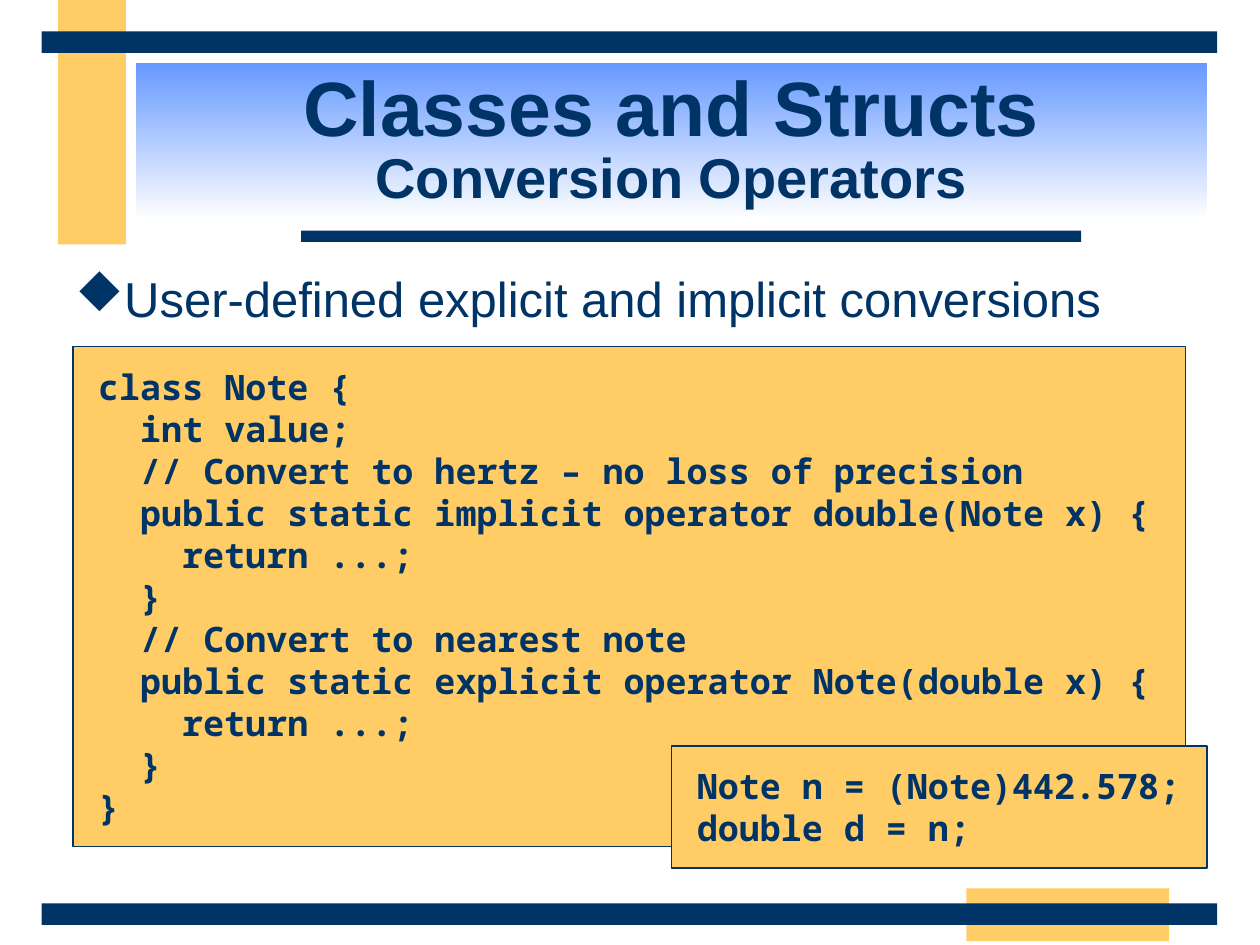
"""Build the slide on user-defined conversion operators."""
import pptx
import pptx.util
import pptx.oxml.ns
import pptx.dml.color
import pptx.enum.shapes
import pptx.enum.text
import lxml.etree

NAVY, GOLD, SKY, WHITE = "003366", "FFCC66", "6699FF", "FFFFFF"
SANS, MONO = "Arial", "Noto Sans Mono"
WIDTH, HEIGHT = 10, 7.5
INDENT_STEP = 24
BULLET_INDENT = 0.36
DIAMOND_FONT, DIAMOND = "Wingdings", "u"

BANDS = [
    (0.46, 0, 0.54, 1.94, GOLD),
    (7.67, 7.05, 1.61, 0.42, GOLD),
    (2.39, 1.83, 6.19, 0.09, NAVY),
    (0.33, 7.17, 9.33, 0.17, NAVY),
    (0.33, 0.25, 9.33, 0.17, NAVY),
]
TITLE = [("Classes and Structs", 44), ("Conversion Operators", 32)]
TOPIC = "User-defined explicit and implicit conversions"
NOTE_CLASS = [
    (0, "class Note {"),
    (1, "int value;"),
    (1, "// Convert to hertz – no loss of precision"),
    (1, "public static implicit operator double(Note x) {"),
    (2, "return ...;"),
    (1, "}"),
    (1, "// Convert to nearest note"),
    (1, "public static explicit operator Note(double x) {"),
    (2, "return ...;"),
    (1, "}"),
    (0, "}"),
]
NOTE_USAGE = [(0, "Note n = (Note)442.578;"), (0, "double d = n;")]
LISTINGS = [
    ((0.58, 2.75, 8.83, 3.97), NOTE_CLASS),
    ((5.33, 5.92, 4.25, 0.97), NOTE_USAGE),
]


def rgb(color):
    return pptx.dml.color.RGBColor.from_string(color)


def inches(lengths):
    return [pptx.util.Inches(length) for length in lengths]


def add_box(slide, place, color):
    box = slide.shapes.add_shape(pptx.enum.shapes.MSO_SHAPE.RECTANGLE, *inches(place))
    box.shadow.inherit = False
    box.fill.solid()
    box.fill.fore_color.rgb = rgb(color)
    box.line.fill.background()
    return box


def add_run(paragraph, text, size, font, bold):
    run = paragraph.add_run()
    run.text = text
    run.font.size = pptx.util.Pt(size)
    run.font.name = font
    run.font.bold = bold
    run.font.color.rgb = rgb(NAVY)


def add_listing(slide, place, lines):
    box = add_box(slide, place, GOLD)
    box.line.color.rgb = rgb(NAVY)
    box.line.width = pptx.util.Pt(1)
    frame = box.text_frame
    frame.word_wrap = False
    frame.vertical_anchor = pptx.enum.text.MSO_ANCHOR.TOP
    frame.margin_left = frame.margin_right = pptx.util.Inches(0.2)
    frame.margin_top = frame.margin_bottom = pptx.util.Inches(0.15)
    for number, (depth, code) in enumerate(lines):
        paragraph = frame.add_paragraph() if number else frame.paragraphs[0]
        paragraph.alignment = pptx.enum.text.PP_ALIGN.LEFT
        paragraph._p.get_or_add_pPr().set("marL", str(pptx.util.Pt(depth * INDENT_STEP)))
        add_run(paragraph, code, 20, MONO, True)


def add_title(slide):
    banner = add_box(slide, (1.08, 0.5, 8.5, 1.25), SKY)
    banner.fill.gradient()
    banner.fill.gradient_angle = 270
    for stop, color in zip(banner.fill.gradient_stops, (SKY, WHITE)):
        stop.color.rgb = rgb(color)
    frame = banner.text_frame
    frame.word_wrap = True
    frame.vertical_anchor = pptx.enum.text.MSO_ANCHOR.MIDDLE
    heading = frame.paragraphs[0]
    heading.alignment = pptx.enum.text.PP_ALIGN.CENTER
    heading.line_spacing = 0.85
    for number, (text, size) in enumerate(TITLE):
        if number:
            heading.add_line_break()
        add_run(heading, text, size, SANS, True)


def add_bullet(paragraph):
    properties = paragraph._p.get_or_add_pPr()
    indent = pptx.util.Inches(BULLET_INDENT)
    properties.set("marL", str(indent))
    properties.set("indent", str(-indent))
    qn = pptx.oxml.ns.qn
    bullet_color = lxml.etree.SubElement(properties, qn("a:buClr"))
    lxml.etree.SubElement(bullet_color, qn("a:srgbClr"), val=NAVY)
    lxml.etree.SubElement(
        properties, qn("a:buFont"), typeface=DIAMOND_FONT, pitchFamily="2", charset="2"
    )
    lxml.etree.SubElement(properties, qn("a:buChar"), char=DIAMOND)


def add_topic(slide):
    body = slide.shapes.add_textbox(*inches((0.5, 2.08, 9, 4.92)))
    body.text_frame.word_wrap = True
    paragraph = body.text_frame.paragraphs[0]
    paragraph.space_before = pptx.util.Pt(7)
    add_run(paragraph, TOPIC, 28, SANS, False)
    add_bullet(paragraph)


def main():
    deck = pptx.Presentation()
    deck.slide_width, deck.slide_height = inches((WIDTH, HEIGHT))
    slide = deck.slides.add_slide(deck.slide_layouts[6])
    for *place, color in BANDS:
        add_box(slide, place, color)
    for place, lines in LISTINGS:
        add_listing(slide, place, lines)
    add_title(slide)
    add_topic(slide)
    deck.save("out.pptx")


if __name__ == "__main__":
    main()
